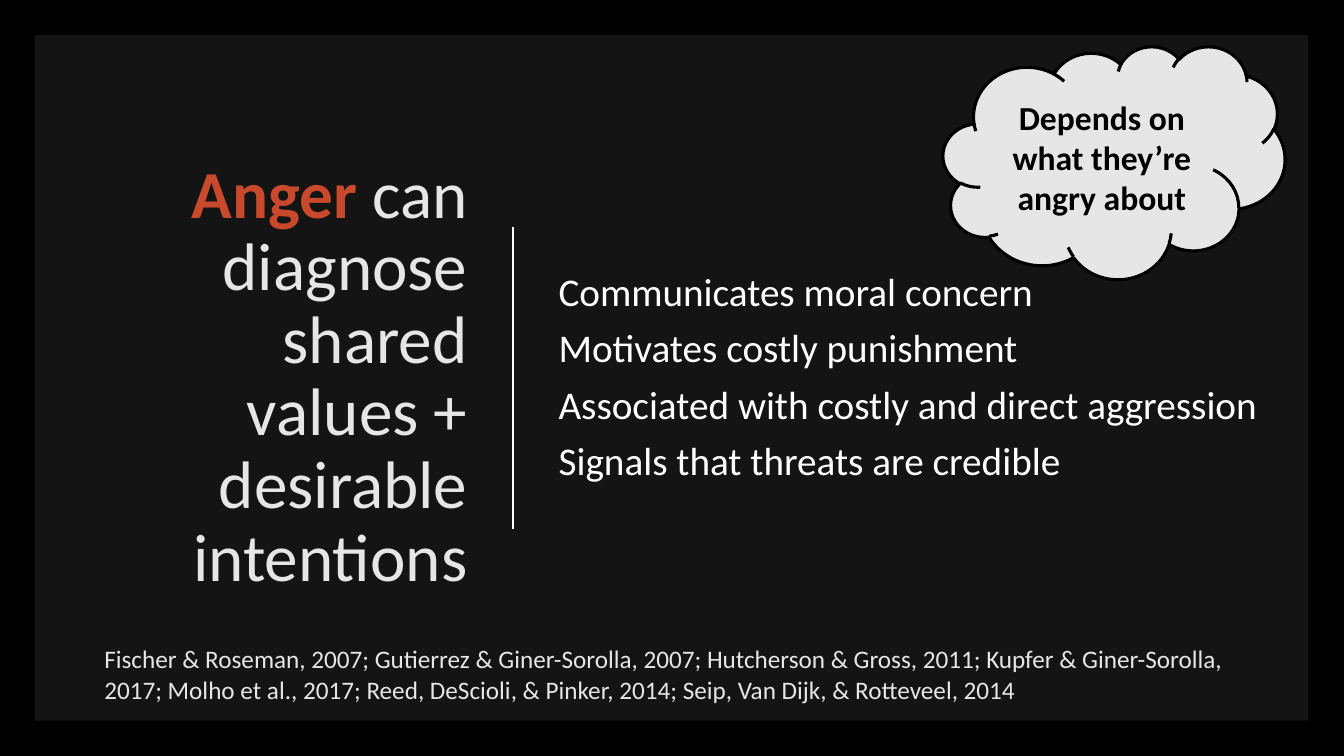
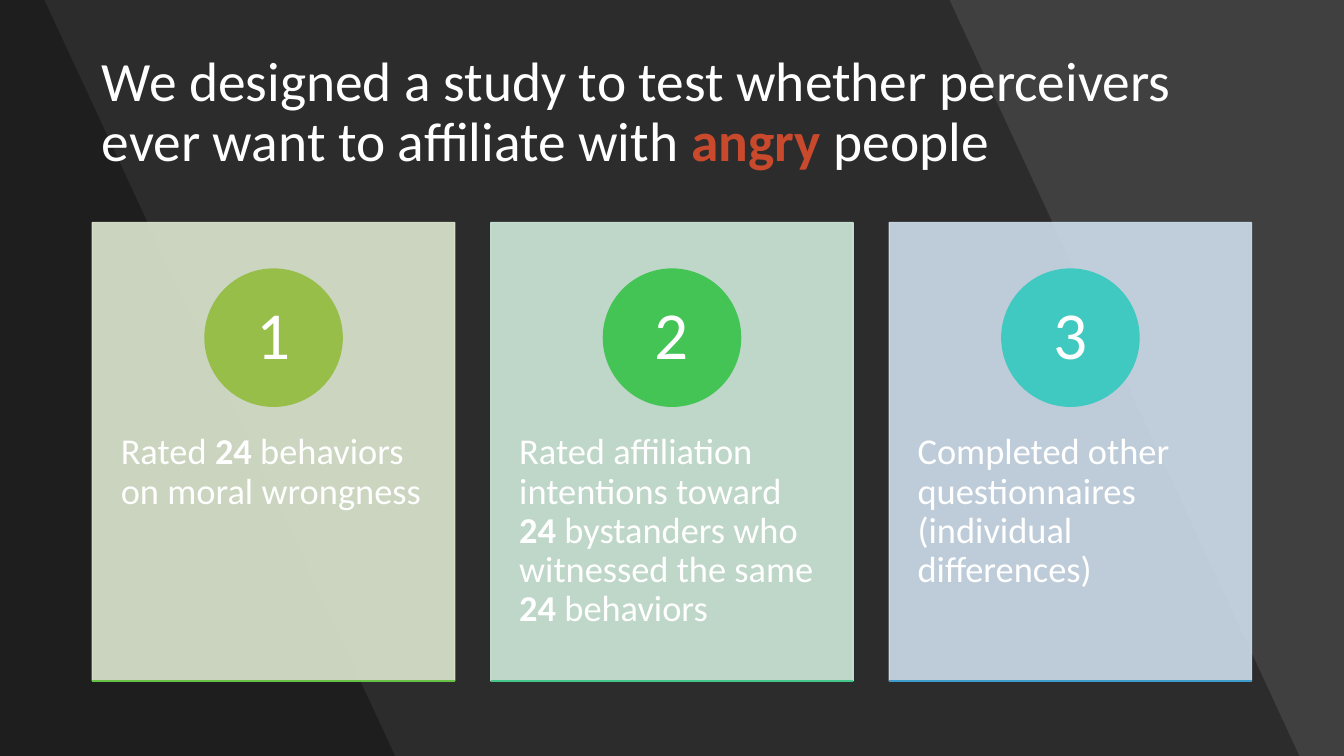
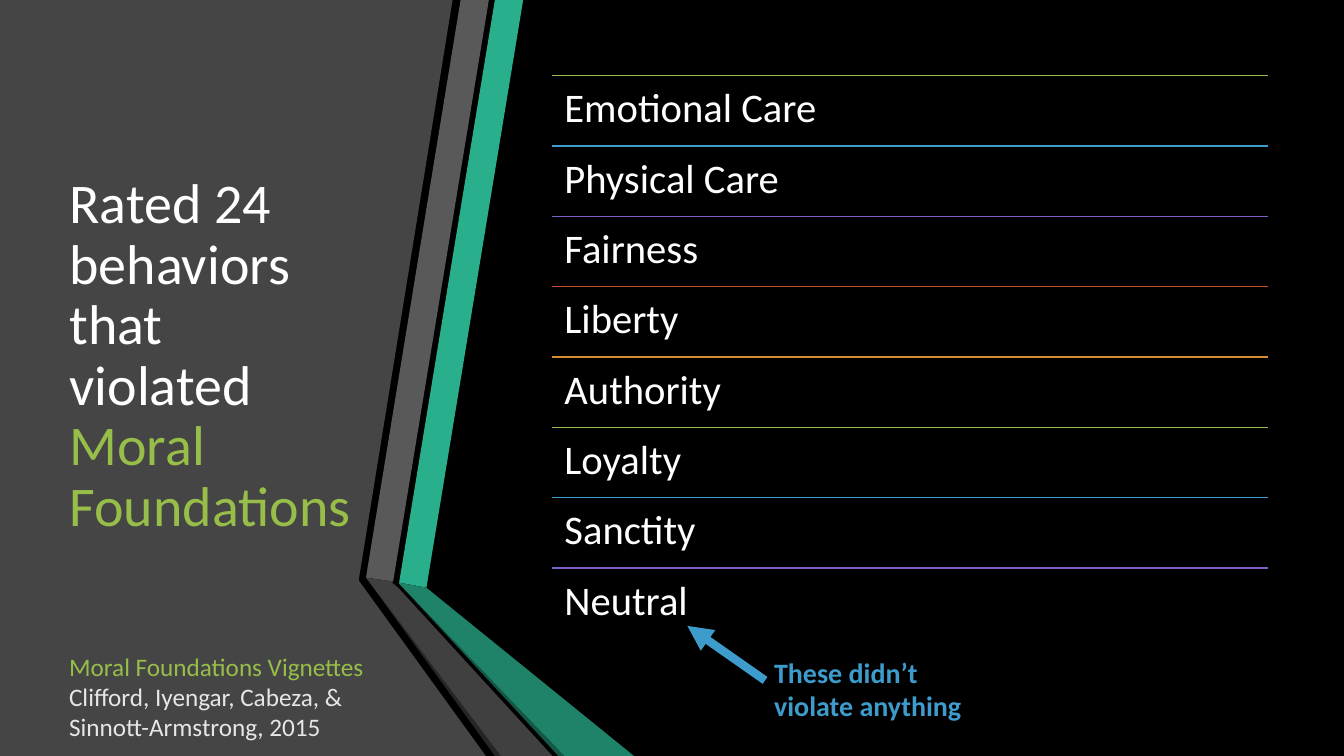
from dataclasses import dataclass
from typing import NamedTuple, Optional

from pptx import Presentation
from pptx.dml.color import RGBColor
from pptx.enum.shapes import MSO_CONNECTOR, MSO_SHAPE
from pptx.enum.text import MSO_ANCHOR, MSO_AUTO_SIZE, PP_ALIGN
from pptx.oxml.ns import qn
from pptx.oxml.xmlchemy import OxmlElement
from pptx.util import Pt

# Shared look
FONT = "Calibri"
SLIDE_WIDTH, SLIDE_HEIGHT = 960, 540
TITLE_ONLY_LAYOUT = 5
WHITE, BLACK, PALE = "FFFFFF", "000000", "E7E6E6"
RED, ORANGE, LIME, BLUE, PURPLE = "C9492C", "D58C2E", "97BE49", "3D9CCC", "7C60C6"


class Box(NamedTuple):
    left: float
    top: float
    width: float
    height: float


class Insets(NamedTuple):
    horizontal: float = 7.2
    vertical: float = 3.6


class TextRun(NamedTuple):
    text: str
    color: str = WHITE
    bold: bool = False


@dataclass(frozen=True)
class TextStyle:
    size: float
    align: PP_ALIGN = PP_ALIGN.LEFT
    anchor: MSO_ANCHOR = MSO_ANCHOR.TOP
    line_spacing: float = 0.9
    space_before: float = 0
    insets: Insets = Insets()


@dataclass(frozen=True)
class Facet:
    color: str
    points: list[tuple[float, float]]
    opacity: Optional[int] = None


@dataclass(frozen=True)
class Card:
    panel_color: str
    circle_color: str
    edge_color: str
    runs: list[TextRun]


class Row(NamedTuple):
    label: str
    rule_color: str


def rgb(color: str) -> RGBColor:
    return RGBColor.from_string(color)


def points(values) -> list:
    return [Pt(value) for value in values]


# Drawing helpers
def write_text(shape, paragraphs: list[list[TextRun]], style: TextStyle) -> None:
    frame = shape.text_frame
    frame.word_wrap = True
    frame.auto_size = MSO_AUTO_SIZE.NONE
    frame.vertical_anchor = style.anchor
    frame.margin_left = frame.margin_right = Pt(style.insets.horizontal)
    frame.margin_top = frame.margin_bottom = Pt(style.insets.vertical)
    for index, runs in enumerate(paragraphs):
        paragraph = frame.add_paragraph() if index else frame.paragraphs[0]
        paragraph.alignment = style.align
        paragraph.line_spacing = style.line_spacing
        paragraph.space_before = Pt(style.space_before if index else 0)
        for text_run in runs:
            run = paragraph.add_run()
            run.text = text_run.text
            run.font.name = FONT
            run.font.size = Pt(style.size)
            run.font.bold = text_run.bold
            run.font.color.rgb = rgb(text_run.color)


def add_text(slide, box: Box, paragraphs: list[list[TextRun]], style: TextStyle) -> None:
    write_text(slide.shapes.add_textbox(*points(box)), paragraphs, style)


def paint(shape, fill: str, line: Optional[str] = None, line_width: float = 1,
          opacity: Optional[int] = None) -> None:
    shape.shadow.inherit = False
    shape.fill.solid()
    shape.fill.fore_color.rgb = rgb(fill)
    if line:
        shape.line.color.rgb = rgb(line)
        shape.line.width = Pt(line_width)
    else:
        shape.line.fill.background()
    if opacity is not None:
        for color in shape.element.spPr.iter(qn("a:srgbClr")):
            alpha = OxmlElement("a:alpha")
            alpha.set("val", str(opacity * 1000))
            color.append(alpha)


def add_shape(slide, kind: MSO_SHAPE, box: Box, fill: str, line: Optional[str] = None,
              line_width: float = 1, opacity: Optional[int] = None):
    shape = slide.shapes.add_shape(kind, *points(box))
    paint(shape, fill, line, line_width, opacity)
    return shape


def add_facet(slide, facet: Facet) -> None:
    start, *rest = [tuple(points(point)) for point in facet.points]
    builder = slide.shapes.build_freeform(*start)
    builder.add_line_segments(rest, close=True)
    paint(builder.convert_to_shape(), facet.color, opacity=facet.opacity)


def add_line(slide, start: tuple[float, float], end: tuple[float, float],
             color: str, width: float = 1, arrow: bool = False) -> None:
    connector = slide.shapes.add_connector(
        MSO_CONNECTOR.STRAIGHT, *points(start), *points(end))
    connector.line.color.rgb = rgb(color)
    connector.line.width = Pt(width)
    properties = connector.element.spPr
    if arrow:
        head = OxmlElement("a:tailEnd")
        head.set("type", "triangle")
        properties.find(qn("a:ln")).append(head)
    properties.append(OxmlElement("a:effectLst"))


def new_slide(presentation, background: str):
    slide = presentation.slides.add_slide(presentation.slide_layouts[TITLE_ONLY_LAYOUT])
    slide.background.fill.solid()
    slide.background.fill.fore_color.rgb = rgb(background)
    return slide


def set_title(slide, box: Box, runs: list[TextRun], size: float,
              align: PP_ALIGN = PP_ALIGN.LEFT) -> None:
    title = slide.shapes.title
    title.left, title.top, title.width, title.height = points(box)
    write_text(title, [runs], TextStyle(size, align, MSO_ANCHOR.MIDDLE))
    # Bring the title in front of the backdrop drawn so far
    title.element.getparent().append(title.element)


# Slide 1: what anger signals
def build_anger_slide(presentation) -> None:
    slide = new_slide(presentation, BLACK)
    add_shape(slide, MSO_SHAPE.RECTANGLE, Box(25.2, 25.2, 909.4, 489.6), WHITE, opacity=8)
    set_title(slide, Box(66.2, 75.9, 275, 388),
              [TextRun("Anger", RED, True),
               TextRun(" can diagnose shared values + desirable intentions", PALE)],
              48, PP_ALIGN.RIGHT)
    add_line(slide, (366.5, 162), (366.5, 378), WHITE, 1.5)
    signals = ["Communicates moral concern", "Motivates costly punishment",
               "Associated with costly and direct aggression",
               "Signals that threats are credible"]
    add_text(slide, Box(391.9, 76.2, 526.3, 388), [[TextRun(signal)] for signal in signals],
             TextStyle(28, anchor=MSO_ANCHOR.MIDDLE, space_before=10))
    references = ("Fischer & Roseman, 2007; Gutierrez & Giner-Sorolla, 2007; "
                  "Hutcherson & Gross, 2011; Kupfer & Giner-Sorolla, 2017; "
                  "Molho et al., 2017; Reed, DeScioli, & Pinker, 2014; "
                  "Seip, Van Dijk, & Rotteveel, 2014")
    add_text(slide, Box(67.4, 456.2, 826.6, 51), [[TextRun(references, PALE)]],
             TextStyle(18, line_spacing=1))
    cloud = add_shape(slide, MSO_SHAPE.CLOUD, Box(673.7, 32.9, 244.1, 166.3),
                      PALE, BLACK, 2.25)
    write_text(cloud, [[TextRun("Depends on what they’re angry about", BLACK, True)]],
               TextStyle(24, PP_ALIGN.CENTER, MSO_ANCHOR.MIDDLE, 1))


# Slide 2: three study steps
STEP_CARDS = [
    Card("DDE8D0", LIME, "67C147",
         [TextRun("Rated "), TextRun("24", bold=True),
          TextRun(" behaviors on moral wrongness")]),
    Card("CFEADB", "44C455", "42C689",
         [TextRun("Rated affiliation intentions toward "), TextRun("24", bold=True),
          TextRun(" bystanders who witnessed the same "), TextRun("24", bold=True),
          TextRun(" behaviors")]),
    Card("CEDEEC", "3FC9C0", BLUE,
         [TextRun("Completed other questionnaires (individual differences)")]),
]
CARD_LEFT, CARD_TOP, CARD_WIDTH, CARD_HEIGHT = 66, 159, 258.8, 327.4
CARD_PITCH = 284.6
CIRCLE_SIZE = 98


def add_card(slide, number: int, card: Card) -> None:
    left = CARD_LEFT + (number - 1) * CARD_PITCH
    bottom = CARD_TOP + CARD_HEIGHT
    add_shape(slide, MSO_SHAPE.RECTANGLE, Box(left, CARD_TOP, CARD_WIDTH, CARD_HEIGHT),
              card.panel_color, card.panel_color, opacity=90)
    add_text(slide, Box(left, 283.7, CARD_WIDTH, 196.6), [card.runs],
             TextStyle(26, insets=Insets(20.3, 25.9)))
    circle_left = left + (CARD_WIDTH - CIRCLE_SIZE) / 2
    circle = add_shape(slide, MSO_SHAPE.OVAL,
                       Box(circle_left, 192.2, CIRCLE_SIZE, CIRCLE_SIZE),
                       card.circle_color, card.circle_color)
    write_text(circle, [[TextRun(str(number))]],
               TextStyle(48, PP_ALIGN.CENTER, MSO_ANCHOR.MIDDLE, insets=Insets(7.9, 0.7)))
    add_line(slide, (left, bottom), (left + CARD_WIDTH, bottom), card.edge_color)


def build_study_slide(presentation) -> None:
    slide = new_slide(presentation, "404040")
    for top_right, bottom_right in [(678.2, 928.1), (31.7, 282.2)]:
        add_facet(slide, Facet(BLACK, [(0, 0), (top_right, 0), (bottom_right, SLIDE_HEIGHT),
                                       (0, SLIDE_HEIGHT)], opacity=30))
    set_title(slide, Box(65.5, 28.8, 828.7, 104.4),
              [TextRun("We designed a study to test whether perceivers "
                       "ever want to affiliate with "),
               TextRun("angry", RED, True), TextRun(" people")], 39.6)
    for number, card in enumerate(STEP_CARDS, start=1):
        add_card(slide, number, card)


# Slide 3: moral foundations
RIBBON_FACETS = [
    Facet("454545", [(0, 0), (323.3, 0), (256.3, 414), (256.3, 414.7),
                     (347, 540), (0, 540)]),
    Facet("29AF8C", [(285.1, 416.2), (304.6, 419.8), (373.7, 0), (353.5, 0)]),
    Facet("595959", [(349.2, 0), (329, 0), (261.4, 412.6), (280.8, 415.4)]),
    Facet("262626", [(261.4, 412.6), (353.5, 540), (357.8, 540)]),
    Facet("155746", [(285.1, 416.9), (398.9, 540), (403.2, 540)]),
    Facet("1F8369", [(285.1, 416.9), (403.2, 540), (452.9, 540), (304.6, 419.8),
                     (285.1, 416.2)]),
    Facet("404040", [(394.6, 540), (284.4, 419.8), (280.1, 416.2), (280.8, 415.4),
                     (261.4, 412.6), (357.8, 540)]),
]
FOUNDATIONS = [
    Row("Emotional Care", LIME), Row("Physical Care", BLUE), Row("Fairness", PURPLE),
    Row("Liberty", RED), Row("Authority", ORANGE), Row("Loyalty", LIME),
    Row("Sanctity", BLUE), Row("Neutral", PURPLE),
]
ROW_LEFT, ROW_TOP, ROW_WIDTH, ROW_HEIGHT = 394.6, 54, 511.2, 50.25


def build_foundations_slide(presentation) -> None:
    slide = new_slide(presentation, BLACK)
    for facet in RIBBON_FACETS:
        add_facet(slide, facet)
    set_title(slide, Box(42.5, 54, 218.9, 401.8),
              [TextRun("Rated 24 behaviors that violated "),
               TextRun("Moral Foundations", LIME)], 40)
    row_style = TextStyle(29, insets=Insets(8.6, 8.6))
    for index, row in enumerate(FOUNDATIONS):
        top = ROW_TOP + index * ROW_HEIGHT
        add_line(slide, (ROW_LEFT, top), (ROW_LEFT + ROW_WIDTH, top), row.rule_color)
        add_text(slide, Box(ROW_LEFT, top, ROW_WIDTH, ROW_HEIGHT),
                 [[TextRun(row.label)]], row_style)
    add_text(slide, Box(545.8, 464.4, 173.5, 55.4),
             [[TextRun("These didn’t violate anything", BLUE, True)]],
             TextStyle(20, line_spacing=1))
    add_line(slide, (546.5, 486), (491, 447.1), BLUE, 6, arrow=True)
    add_text(slide, Box(42.3, 461.5, 232.6, 72.7),
             [[TextRun("Moral Foundations Vignettes", LIME)],
              [TextRun("Clifford, Iyengar, Cabeza, & Sinnott-Armstrong, 2015", PALE)]],
             TextStyle(18, line_spacing=1))


def main() -> None:
    presentation = Presentation()
    presentation.slide_width = Pt(SLIDE_WIDTH)
    presentation.slide_height = Pt(SLIDE_HEIGHT)
    build_anger_slide(presentation)
    build_study_slide(presentation)
    build_foundations_slide(presentation)
    presentation.save("out.pptx")


if __name__ == "__main__":
    main()
